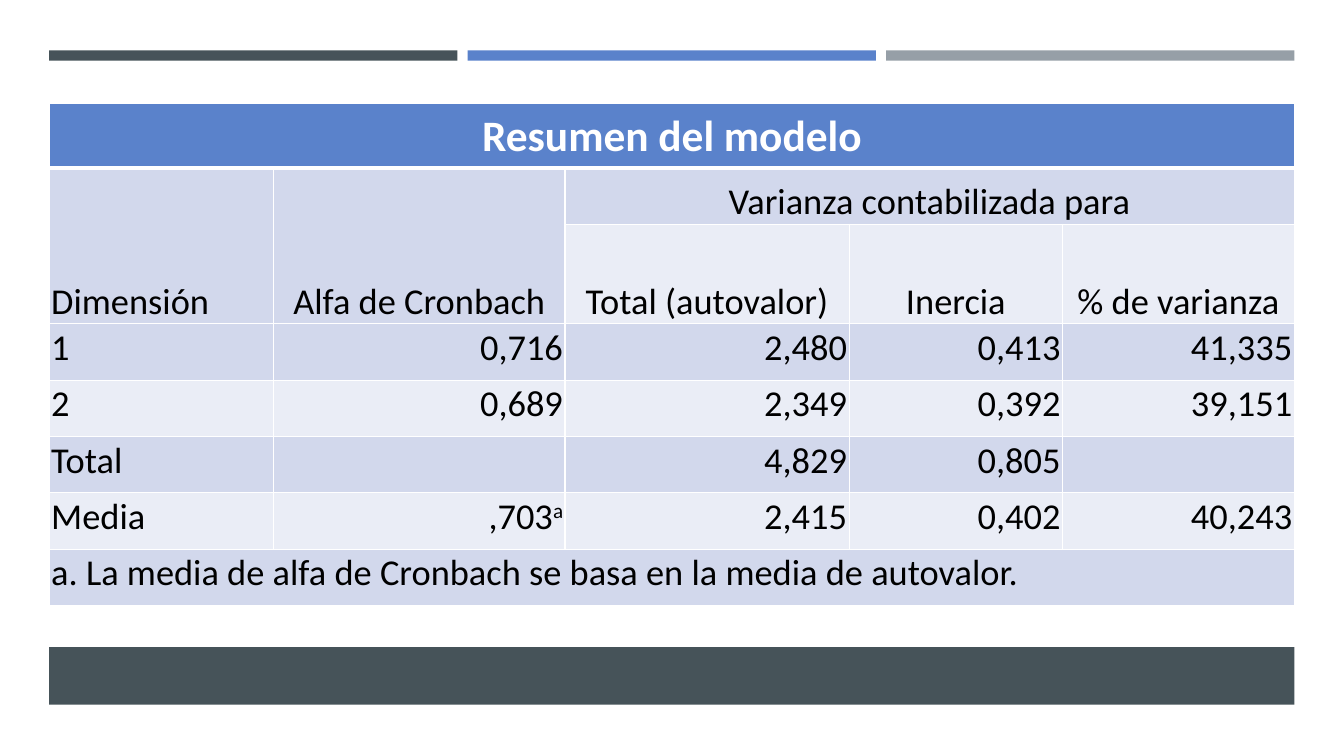
"""Build the model summary slide: three accent bars, a results table and a footer band."""
from dataclasses import dataclass

import pptx
import pptx.dml.color
import pptx.enum.shapes
import pptx.enum.text
import pptx.oxml
import pptx.oxml.ns
import pptx.util

Cm = pptx.util.Cm
Pt = pptx.util.Pt
ALIGN = pptx.enum.text.PP_ALIGN
ANCHOR = pptx.enum.text.MSO_ANCHOR

ROWS = [
    ["Resumen del modelo", "", "", "", ""],
    ["Dimensión", "Alfa de Cronbach", "Varianza contabilizada para", "", ""],
    ["", "", "Total (autovalor)", "Inercia", "% de varianza"],
    ["1", "0,716", "2,480", "0,413", "41,335"],
    ["2", "0,689", "2,349", "0,392", "39,151"],
    ["Total", "", "4,829", "0,805", ""],
    ["Media", (",703", "a"), "2,415", "0,402", "40,243"],
    ["a. La media de alfa de Cronbach se basa en la media de autovalor.", "", "", "", ""],
]
MERGES = [((0, 0), (0, 4)), ((1, 0), (2, 0)), ((1, 1), (2, 1)), ((1, 2), (1, 4)), ((7, 0), (7, 4))]
HEADER_ROWS = 3
COL_WIDTHS = [5.66, 7.34, 7.16, 5.38, 5.84]
ROW_HEIGHTS = [1.63, 1.42, 2.51] + [1.42] * 5

LEFT, WIDTH = 1.24, 31.38
BAR_TOP, BAR_HEIGHT, BAR_GAP = 1.27, 0.26, 0.26
TABLE_TOP = 2.6
FOOTER_TOP, FOOTER_HEIGHT = 16.31, 1.45


@dataclass(frozen=True)
class Theme:
    """Colours, font and type sizes."""
    dark: str = "465359"
    accent: str = "5A82CB"
    grey: str = "969FA7"
    bands: tuple = ("EAEDF6", "D2D8EC")
    text: str = "000000"
    white: str = "FFFFFF"
    font: str = "Calibri"
    title_size: int = 31
    body_size: int = 26
    rule: int = 1
    title_rule: int = 3


THEME = Theme()


def rgb(value):
    """Return a colour object for a hex value."""
    return pptx.dml.color.RGBColor.from_string(value)


def add_block(s, left, top, width, height, color):
    """Add a plain filled rectangle."""
    sp = s.shapes.add_shape(pptx.enum.shapes.MSO_SHAPE.RECTANGLE,
                            Cm(left), Cm(top), Cm(width), Cm(height))
    sp.shadow.inherit = False
    sp.fill.solid()
    sp.fill.fore_color.rgb = rgb(color)
    sp.line.fill.background()


def set_borders(cell, row):
    """Draw white rules, thicker below the title row."""
    widths = {"L": THEME.rule, "R": THEME.rule,
              "T": THEME.title_rule if row == 1 else THEME.rule,
              "B": THEME.title_rule if row == 0 else THEME.rule}
    tc_pr = cell._tc.get_or_add_tcPr()
    for i, (side, width) in enumerate(widths.items()):
        tc_pr.insert(i, pptx.oxml.parse_xml(
            f'<a:ln{side} {pptx.oxml.ns.nsdecls("a")} w="{Pt(width)}"><a:solidFill>'
            f'<a:srgbClr val="{THEME.white}"/></a:solidFill></a:ln{side}>'))


def fill_cell(cell, row, col, content):
    """Write and format one table cell."""
    is_title = row == 0
    cell.margin_left = cell.margin_right = cell.margin_top = Cm(0.05)
    cell.margin_bottom = 0
    cell.fill.solid()
    cell.fill.fore_color.rgb = rgb(THEME.accent if is_title else THEME.bands[row % 2])
    set_borders(cell, row)
    if is_title:
        cell.vertical_anchor = ANCHOR.MIDDLE
    else:
        cell.vertical_anchor = ANCHOR.BOTTOM if row < HEADER_ROWS else ANCHOR.TOP

    p = cell.text_frame.paragraphs[0]
    if col == 0 and not is_title:
        p.alignment = ALIGN.LEFT
    else:
        p.alignment = ALIGN.CENTER if row < HEADER_ROWS else ALIGN.RIGHT
    p.font.name = THEME.font
    p.font.size = Pt(THEME.title_size if is_title else THEME.body_size)
    p.font.bold = is_title
    p.font.color.rgb = rgb(THEME.white if is_title else THEME.text)
    text, note = content if isinstance(content, tuple) else (content, "")
    if text:
        p.add_run().text = text
    if note:
        r = p.add_run()
        r.text = note
        r.font._element.set("baseline", "30000")


def add_summary_table(s):
    """Add the results table with its merged cells."""
    table = s.shapes.add_table(len(ROWS), len(COL_WIDTHS), Cm(LEFT), Cm(TABLE_TOP),
                               Cm(WIDTH), Cm(sum(ROW_HEIGHTS))).table
    for column, width in zip(table.columns, COL_WIDTHS):
        column.width = Cm(width)
    for table_row, height in zip(table.rows, ROW_HEIGHTS):
        table_row.height = Cm(height)
    for row, contents in enumerate(ROWS):
        for col, content in enumerate(contents):
            fill_cell(table.cell(row, col), row, col, content)
    for first, last in MERGES:
        table.cell(*first).merge(table.cell(*last))


def main():
    """Assemble and save the slide."""
    prs = pptx.Presentation()
    prs.slide_width, prs.slide_height = Cm(33.87), Cm(19.05)
    s = prs.slides.add_slide(prs.slide_layouts[6])
    s.background.fill.solid()
    s.background.fill.fore_color.rgb = rgb(THEME.white)

    bar_colors = (THEME.dark, THEME.accent, THEME.grey)
    bar_width = (WIDTH - BAR_GAP * (len(bar_colors) - 1)) / len(bar_colors)
    for i, color in enumerate(bar_colors):
        add_block(s, LEFT + i * (bar_width + BAR_GAP), BAR_TOP, bar_width, BAR_HEIGHT, color)
    add_block(s, LEFT, FOOTER_TOP, WIDTH, FOOTER_HEIGHT, THEME.dark)
    add_summary_table(s)
    prs.save("out.pptx")


if __name__ == "__main__":
    main()
